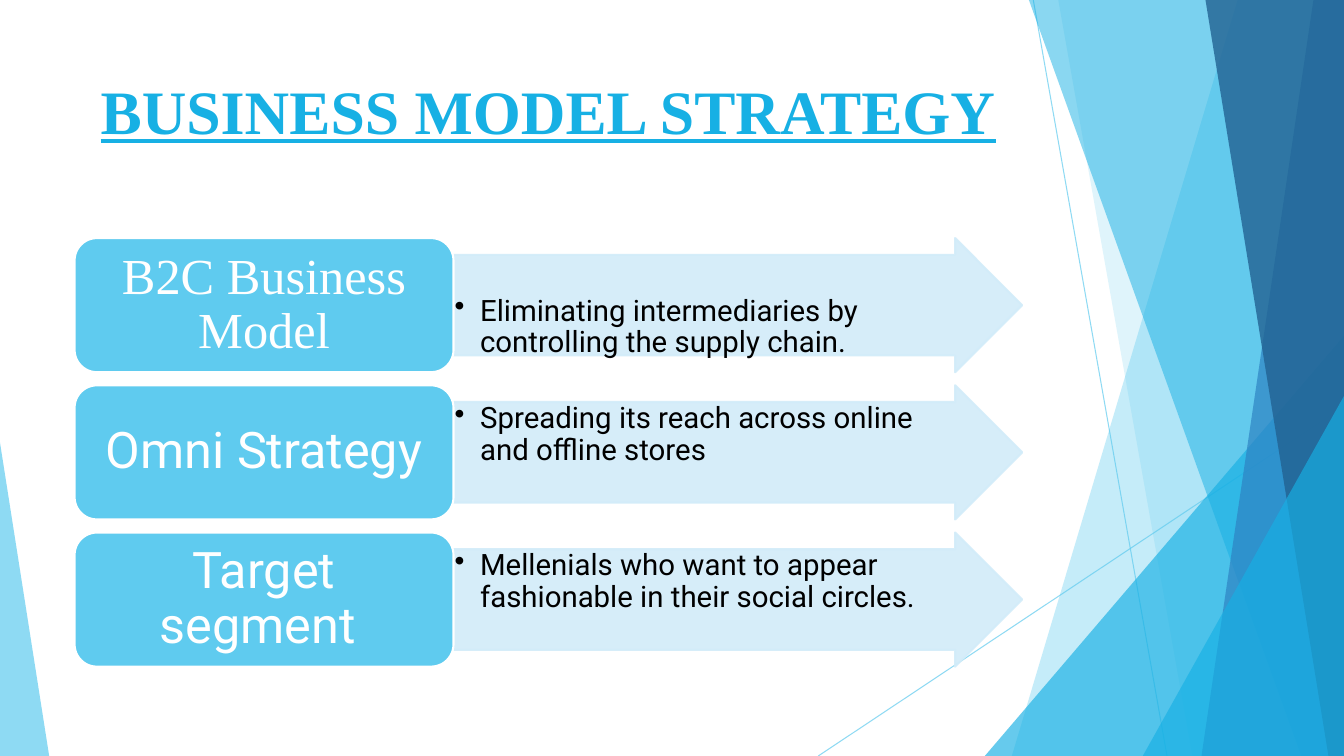
from lxml import etree
from pptx import Presentation
from pptx import util as u
from pptx.dml.color import RGBColor
from pptx.enum import shapes, text
from pptx.oxml import ns


def paint(color_format, hex_color, opacity=100):
    color_format.solid()
    color_format.fore_color.rgb = RGBColor.from_string(hex_color)
    if opacity < 100:
        color = color_format._xPr.find(".//" + ns.qn("a:srgbClr"))
        etree.SubElement(color, ns.qn("a:alpha"), val=str(opacity * 1000))


def write(paragraph, wording, font_name, size, hex_color):
    run = paragraph.add_run()
    run.text = wording
    run.font.name = font_name
    run.font.size = u.Pt(size)
    paint(run.font.fill, hex_color)
    return run


WIDTH, HEIGHT = 33.87, 19.05
SKY, CYAN, PALE = "5FCBEF", "17B0E4", "D2ECF9"

presentation = Presentation()
presentation.slide_width = u.Cm(WIDTH)
presentation.slide_height = u.Cm(HEIGHT)
slide = presentation.slides.add_slide(presentation.slide_layouts[5])

for start_x, start_y, end_x in [(26.04, 0, 29.41), (WIDTH, 10.24, 20.62)]:
    line = slide.shapes.add_connector(
        shapes.MSO_CONNECTOR.STRAIGHT,
        u.Cm(start_x), u.Cm(start_y), u.Cm(end_x), u.Cm(HEIGHT))
    paint(line.line.fill, SKY, 70)
    line.line.width = u.Pt(0.75)
    etree.SubElement(line._element.spPr, ns.qn("a:effectLst"))

facets = [
    ("pane", 31.19, 25.5, SKY, 36),
    ("pane", 26.67, 30.05, SKY, 20),
    ("right corner", 24.82, 8.46, CYAN, 66),
    ("pane", 25.93, 32.79, CYAN, 50),
    ("pane", 33.1, 30.28, "2E83C3", 70),
    ("pane", 30.38, 33.48, "226292", 80),
    ("right corner", 28.8, 9.98, CYAN, 66),
    ("left corner", 0, 11.15, SKY, 70),
]
for kind, first, second, hex_color, opacity in facets:
    if kind == "pane":
        builder = slide.shapes.build_freeform(u.Cm(first), 0)
        builder.add_line_segments([
            (u.Cm(WIDTH), 0), (u.Cm(WIDTH), u.Cm(HEIGHT)), (u.Cm(second), u.Cm(HEIGHT))])
        facet = builder.convert_to_shape()
    else:
        facet_width = WIDTH - first if kind == "right corner" else 1.24
        facet = slide.shapes.add_shape(
            shapes.MSO_SHAPE.ISOSCELES_TRIANGLE,
            u.Cm(first), u.Cm(second), u.Cm(facet_width), u.Cm(HEIGHT - second))
        facet.adjustments[0] = 1 if kind == "right corner" else 0
    facet.shadow.inherit = False
    facet.line.fill.background()
    paint(facet.fill, hex_color, opacity)

title = slide.shapes.title
title.left, title.top, title.width, title.height = u.Cm(1.88), u.Cm(1.7), u.Cm(23.88), u.Cm(2.74)
title.text_frame.auto_size = text.MSO_AUTO_SIZE.NONE
title.text_frame.vertical_anchor = text.MSO_ANCHOR.TOP
paragraph = title.text_frame.paragraphs[0]
paragraph.alignment = text.PP_ALIGN.CENTER
run = write(paragraph, "BUSINESS MODEL STRATEGY", "Times New Roman", 44.1, CYAN)
run.font.bold = True
run.font.underline = True

strategies = [
    ("B2C Business Model", "Times New Roman",
     "Eliminating intermediaries by controlling the supply chain.", 1.03),
    ("Omni Strategy", "Roboto",
     "Spreading its reach across online and offline stores", 0.03),
    ("Target segment ", "Roboto",
     "Mellenials who want to appear fashionable in their social circles.", 0.03),
]
ROW_TOP, ROW_STEP, ROW_HEIGHT = 6, 3.71, 3.38
LABEL_LEFT, LABEL_WIDTH, ARROW_WIDTH = 1.88, 9.55, 14.33

for row, (heading, heading_font, detail, detail_inset) in enumerate(strategies):
    top = u.Cm(ROW_TOP + row * ROW_STEP)
    arrow = slide.shapes.add_shape(
        shapes.MSO_SHAPE.RIGHT_ARROW,
        u.Cm(LABEL_LEFT + LABEL_WIDTH), top, u.Cm(ARROW_WIDTH), u.Cm(ROW_HEIGHT))
    arrow.adjustments[0] = 0.75
    label = slide.shapes.add_shape(
        shapes.MSO_SHAPE.ROUNDED_RECTANGLE,
        u.Cm(LABEL_LEFT), top, u.Cm(LABEL_WIDTH), u.Cm(ROW_HEIGHT))

    for shape, fill, outline, opacity, anchor, insets in [
        (arrow, PALE, PALE, 90, text.MSO_ANCHOR.TOP, (0.03, detail_inset, 0.84, 0.03)),
        (label, SKY, "FFFFFF", 100, text.MSO_ANCHOR.MIDDLE, (0.38, 0.18, 0.38, 0.18)),
    ]:
        shape.shadow.inherit = False
        paint(shape.fill, fill, opacity)
        paint(shape.line.fill, outline, opacity)
        shape.line.width = u.Pt(1.5)
        frame = shape.text_frame
        frame.word_wrap = True
        frame.vertical_anchor = anchor
        frame.margin_left, frame.margin_top, frame.margin_right, frame.margin_bottom = map(u.Cm, insets)
        frame.paragraphs[0].line_spacing = 0.9

    paragraph = label.text_frame.paragraphs[0]
    paragraph.alignment = text.PP_ALIGN.CENTER
    write(paragraph, heading, heading_font, 36, "FFFFFF")

    paragraph = arrow.text_frame.paragraphs[0]
    paragraph.alignment = text.PP_ALIGN.LEFT
    properties = paragraph._p.get_or_add_pPr()
    properties.set("marL", str(u.Cm(0.64)))
    properties.set("indent", str(-u.Cm(0.64)))
    etree.SubElement(properties, ns.qn("a:buChar"), char="•")
    write(paragraph, detail, "Roboto", 21, "000000")

presentation.save("out.pptx")
